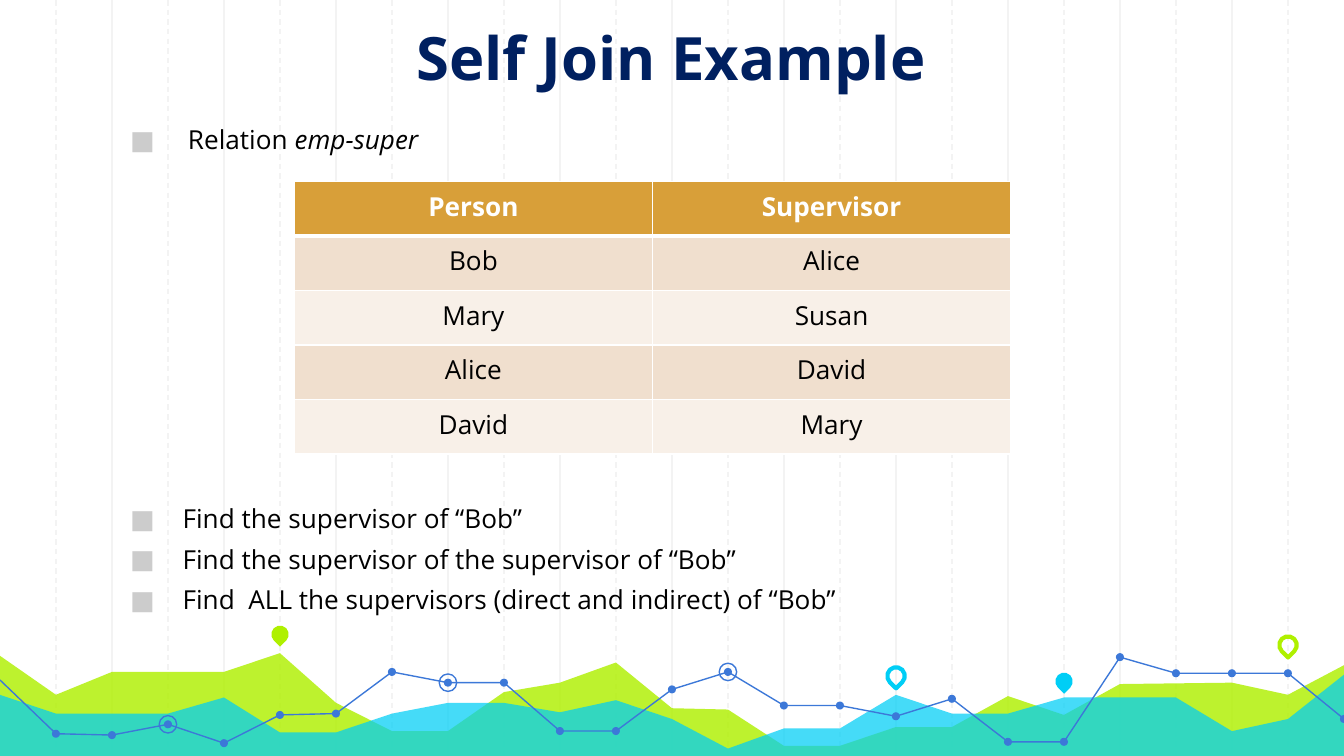
"""Build the Self Join Example slide with its chart-styled backdrop."""
from lxml import etree
from pptx import Presentation
from pptx.dml.color import RGBColor
from pptx.enum.dml import MSO_LINE
from pptx.enum.shapes import MSO_CONNECTOR, MSO_SHAPE
from pptx.enum.text import MSO_ANCHOR, PP_ALIGN
from pptx.oxml.ns import qn
from pptx.util import Inches, Pt

DASH = MSO_LINE.DASH
STRAIGHT = MSO_CONNECTOR.STRAIGHT
OVAL, TEAR = MSO_SHAPE.OVAL, MSO_SHAPE.TEAR
BOTTOM, CENTER = MSO_ANCHOR.BOTTOM, PP_ALIGN.CENTER

WIDE, COLS = 10, 24
HIGH = WIDE * 9 / 16
STEP = WIDE / COLS
FONT = "Open Sans"
HEX = {
    "grid": "F3F3F3", "lime": "AFF000", "cyan": "00CEF6", "blue": "3C78D8",
    "navy": "002060", "black": "000000", "white": "FFFFFF", "mark": "CCCCCC",
    "head": "D89F39", "odd": "F0DFCE", "even": "F8F0E8",
}

TITLE = "Self Join Example"
LISTS = [
    (0.87, 0.43, [("Relation ", "emp-super")]),
    (3.69, 0.39, [
        ("Find the supervisor of “Bob”",),
        ("Find the supervisor of the supervisor of “Bob”",),
        ("Find  ALL the supervisors (direct and indirect) of “Bob”",),
    ]),
]
ROWS = [("Person", "Supervisor"), ("Bob", "Alice"), ("Mary", "Susan"),
        ("Alice", "David"), ("David", "Mary")]

AREAS = [
    ("lime", 82, {
        0: 4.88, 1: 5.17, 2: 5, 4: 5, 5: 4.86, 6: 5.23, 7: 5.44, 8: 5.44,
        9: 5.15, 10: 5.08, 11: 4.93, 12: 5.27, 13: 5.28, 14: 5.55, 15: 5.55,
        16: 5.41, 17: 5.41, 18: 5.18, 19: 5.32, 20: 5.09, 22: 5.08,
        23: 5.17, 24: 4.95}),
    ("cyan", 73, {
        0: 5.17, 1: 5.31, 3: 5.31, 4: 5.19, 5: 5.45, 6: 5.45, 7: 5.31,
        8: 5.23, 9: 5.23, 10: 5.3, 11: 5.21, 12: 5.35, 13: 5.57, 14: 5.42,
        15: 5.42, 16: 5.17, 17: 5.31, 18: 5.31, 19: 5.19, 21: 5.19,
        22: 5.44, 23: 5.35, 24: 5.02}),
]
TREND = [5.06, 5.46, 5.47, 5.39, 5.53, 5.32, 5.31, 5, 5.08, 5.08, 5.44, 5.44,
         5.13, 5, 5.25, 5.25, 5.33, 5.2, 5.52, 5.52, 4.89, 5.01, 5.01, 5.01,
         5.35]
PARTS = [(0, 11), (11, 20), (20, 24)]
RINGS = [3, 8, 13]
PINS = [(5, 4.72, "lime", True), (16, 5.03, "cyan", False),
        (19, 5.07, "cyan", True), (23, 4.8, "lime", False)]


def tint(name):
    return RGBColor.from_string(HEX[name])


def paint(shape, fill=None, line=None, width=0.75):
    shape.shadow.inherit = False
    for part, name in ((shape.fill, fill), (shape.line.fill, line)):
        if name:
            part.solid()
            part.fore_color.rgb = tint(name)
        else:
            part.background()
    if line:
        shape.line.width = Pt(width)


def trace(shapes, points, close):
    spots = [(Inches(x), Inches(y)) for x, y in points]
    path = shapes.build_freeform(*spots[0])
    path.add_line_segments(spots[1:], close=close)
    return path.convert_to_shape()


def spot(shapes, kind, col, mid, size, **look):
    shape = shapes.add_shape(kind, Inches(col * STEP - size / 2),
                             Inches(mid - size / 2), Inches(size), Inches(size))
    paint(shape, **look)
    return shape


def style(run, size, name, bold=False, slant=False):
    font = run.font
    font.name, font.size, font.bold, font.italic = FONT, Pt(size), bold, slant
    font.color.rgb = tint(name)


def rule(shapes, col):
    x = Inches(col * STEP)
    line = shapes.add_connector(STRAIGHT, x, 0, x, Inches(HIGH))
    line.line.color.rgb = tint("grid")
    line.line.width = Pt(0.75)
    if col % 2:
        line.line.dash_style = DASH
    etree.SubElement(line._element.spPr, qn("a:effectLst"))


def backdrop(shapes):
    for col in [*range(2, COLS, 2), *range(1, COLS, 2)]:
        rule(shapes, col)
    for name, share, tops in AREAS:
        edge = [(col * STEP, y) for col, y in tops.items()]
        area = trace(shapes, edge + [(WIDE, HIGH), (0, HIGH)], True)
        paint(area, fill=name)
        color = area._element.spPr.find(qn("a:solidFill"))[0]
        etree.SubElement(color, qn("a:alpha"), val=str(share * 1000))
    for first, last in PARTS:
        points = [(col * STEP, TREND[col]) for col in range(first, last + 1)]
        paint(trace(shapes, points, False), line="blue")
    for col in range(1, COLS + 1):
        spot(shapes, OVAL, col, TREND[col], 0.06, fill="blue")
    for col in RINGS:
        spot(shapes, OVAL, col, TREND[col], 0.13, line="blue")
    for col, mid, name, solid in PINS:
        look = {"fill": name} if solid else {"line": name, "width": 2.25}
        spot(shapes, TEAR, col, mid, 0.13, **look).rotation = 135


def label(shapes, left, top, width, height):
    box = shapes.add_textbox(*map(Inches, (left, top, width, height)))
    box.text_frame.word_wrap = True
    return box.text_frame


def heading(shapes):
    frame = label(shapes, 1.17, 0.01, 7.65, 0.78)
    frame.vertical_anchor = BOTTOM
    frame.margin_top = frame.margin_bottom = Inches(0.1)
    frame.text = TITLE
    para = frame.paragraphs[0]
    para.alignment = CENTER
    style(para.runs[0], 32, "navy", bold=True)


def bullets(shapes, top, indent, items):
    frame = label(shapes, 0.87, top, 7.69, 0.4 + 0.29 * (len(items) - 1))
    frame.text = "\n".join(item[0] for item in items)
    for para, item in zip(frame.paragraphs, items):
        para.space_before = Pt(4.9)
        for text in item[1:]:
            para.add_run().text = text
        for place, run in enumerate(para.runs):
            style(run, 14, "black", slant=place > 0)
        props = para._p.get_or_add_pPr()
        props.set("marL", str(Inches(indent)))
        props.set("indent", str(-Inches(indent)))
        color = etree.SubElement(props, qn("a:buClr"))
        etree.SubElement(color, qn("a:srgbClr"), val=HEX["mark"])
        etree.SubElement(props, qn("a:buFont"), typeface=FONT)
        etree.SubElement(props, qn("a:buChar"), char="■")


def border(cell, head):
    props = cell._tc.get_or_add_tcPr()
    for side in "LRTB":
        width = 3 if head and side == "B" else 1
        line = etree.SubElement(props, qn(f"a:ln{side}"), w=str(Pt(width)))
        fill = etree.SubElement(line, qn("a:solidFill"))
        etree.SubElement(fill, qn("a:srgbClr"), val=HEX["white"])


def grid(shapes):
    spots = map(Inches, (2.19, 1.35, 5.33, 2.03))
    table = shapes.add_table(len(ROWS), len(ROWS[0]), *spots).table
    for r, row in enumerate(ROWS):
        for c, text in enumerate(row):
            cell = table.cell(r, c)
            border(cell, r == 0)
            cell.fill.solid()
            cell.fill.fore_color.rgb = tint(
                "head" if r == 0 else "odd" if r % 2 else "even")
            cell.text = text
            para = cell.text_frame.paragraphs[0]
            para.alignment = CENTER
            style(para.runs[0], 14, "black" if r else "white", bold=r == 0)


def main():
    deck = Presentation()
    deck.slide_width, deck.slide_height = Inches(WIDE), Inches(HIGH)
    shapes = deck.slides.add_slide(deck.slide_layouts[6]).shapes
    backdrop(shapes)
    heading(shapes)
    for top, indent, items in LISTS:
        bullets(shapes, top, indent, items)
    grid(shapes)
    deck.save("out.pptx")


if __name__ == "__main__":
    main()
